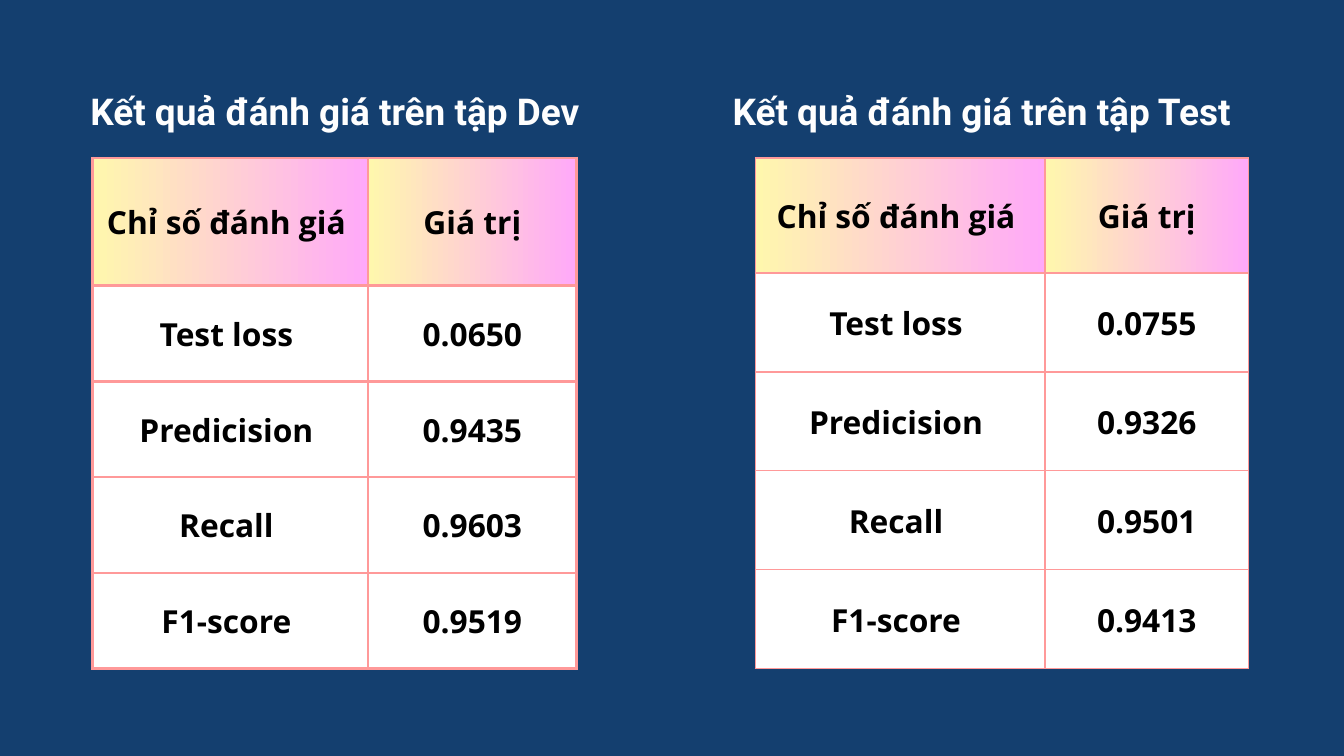
from lxml import etree
from pptx import Presentation
from pptx.dml.color import RGBColor
from pptx.enum.text import MSO_ANCHOR, PP_ALIGN
from pptx.oxml.ns import qn
from pptx.util import Inches, Pt

CENTER = PP_ALIGN.CENTER
MIDDLE = MSO_ANCHOR.MIDDLE
METRICS = ["Test loss ", "Predicision ", "Recall ", "F1-score "]
HEADER = ("Chỉ số đánh giá ", "Giá trị")


def rgb(value):
    """Turn a hex string into a colour."""
    return RGBColor.from_string(value)


def style_text(tf, font, size, color, spacing):
    """Centre the paragraphs of a frame and format their runs."""
    for p in tf.paragraphs:
        p.alignment = CENTER
        p.line_spacing = Pt(spacing)
        for r in p.runs:
            r.font.name = font
            r.font.size = Pt(size)
            r.font.bold = True
            r.font.color.rgb = rgb(color)


def set_borders(cell, color, width):
    """Draw the four borders of a cell."""
    tc_pr = cell._tc.get_or_add_tcPr()
    for i, side in enumerate(("a:lnL", "a:lnR", "a:lnT", "a:lnB")):
        ln = etree.Element(qn(side), w=str(Pt(width)))
        fill = etree.SubElement(ln, qn("a:solidFill"))
        etree.SubElement(fill, qn("a:srgbClr"), val=color)
        tc_pr.insert(i, ln)


def fill_cell(cell, is_header):
    """Give header cells a gradient and body cells a white fill."""
    if not is_header:
        cell.fill.solid()
        cell.fill.fore_color.rgb = rgb("FFFFFF")
        return
    cell.fill.gradient()
    cell.fill.gradient_angle = 0
    for stop, position, color in zip(cell.fill.gradient_stops, (0, 1), ("FFF7AD", "FFA9F9")):
        stop.position = position
        stop.color.rgb = rgb(color)


def add_title(slide, box, text):
    """Place the heading of a results table."""
    tf = slide.shapes.add_textbox(*map(Inches, box)).text_frame
    tf.word_wrap = True
    tf.margin_left = tf.margin_right = tf.margin_top = tf.margin_bottom = 0
    tf.text = text
    style_text(tf, "Roboto", 39.6, "FEFEFE", 55.4)


def add_results(slide, box, values, first_col, header_height, margin, border):
    """Place a table of metrics and their values in a box."""
    left, top, width, height = box
    rows = [HEADER, *zip(METRICS, values)]
    table = slide.shapes.add_table(len(rows), 2, *map(Inches, box)).table
    table.columns[0].width = Inches(first_col)
    table.columns[1].width = Inches(width - first_col)
    row_height = (height - header_height) / len(METRICS)
    for i, texts in enumerate(rows):
        table.rows[i].height = Inches(row_height if i else header_height)
        for j, text in enumerate(texts):
            cell = table.cell(i, j)
            cell.margin_left = cell.margin_right = Inches(margin)
            cell.margin_top = cell.margin_bottom = Inches(margin)
            cell.vertical_anchor = MIDDLE
            cell.text = text
            style_text(cell.text_frame, "Open Sans", 34, "000000", 47.6)
            fill_cell(cell, i == 0)
            set_borders(cell, "FF9999", border)


def main():
    """Build the slide with the Dev and Test results."""
    prs = Presentation()
    prs.slide_width, prs.slide_height = Inches(20), Inches(11.25)
    s = prs.slides.add_slide(prs.slide_layouts[6])
    s.background.fill.solid()
    s.background.fill.fore_color.rgb = rgb("143F6F")

    add_results(s, (1.38, 2.35, 7.2, 7.6), ["0.0650", "0.9435", "0.9603", "0.9519"],
                first_col=4.1, header_height=1.9, margin=0.21, border=3)
    add_title(s, (-3.89, 1.21, 17.75, 0.74), "Kết quả đánh giá trên tập Dev")
    add_results(s, (11.24, 2.35, 7.34, 7.6), ["0.0755", "0.9326", "0.9501", "0.9413"],
                first_col=4.31, header_height=1.71, margin=0.13, border=1.82)
    add_title(s, (9.22, 1.21, 10.78, 0.74), "Kết quả đánh giá trên tập Test")
    prs.save("out.pptx")


if __name__ == "__main__":
    main()
